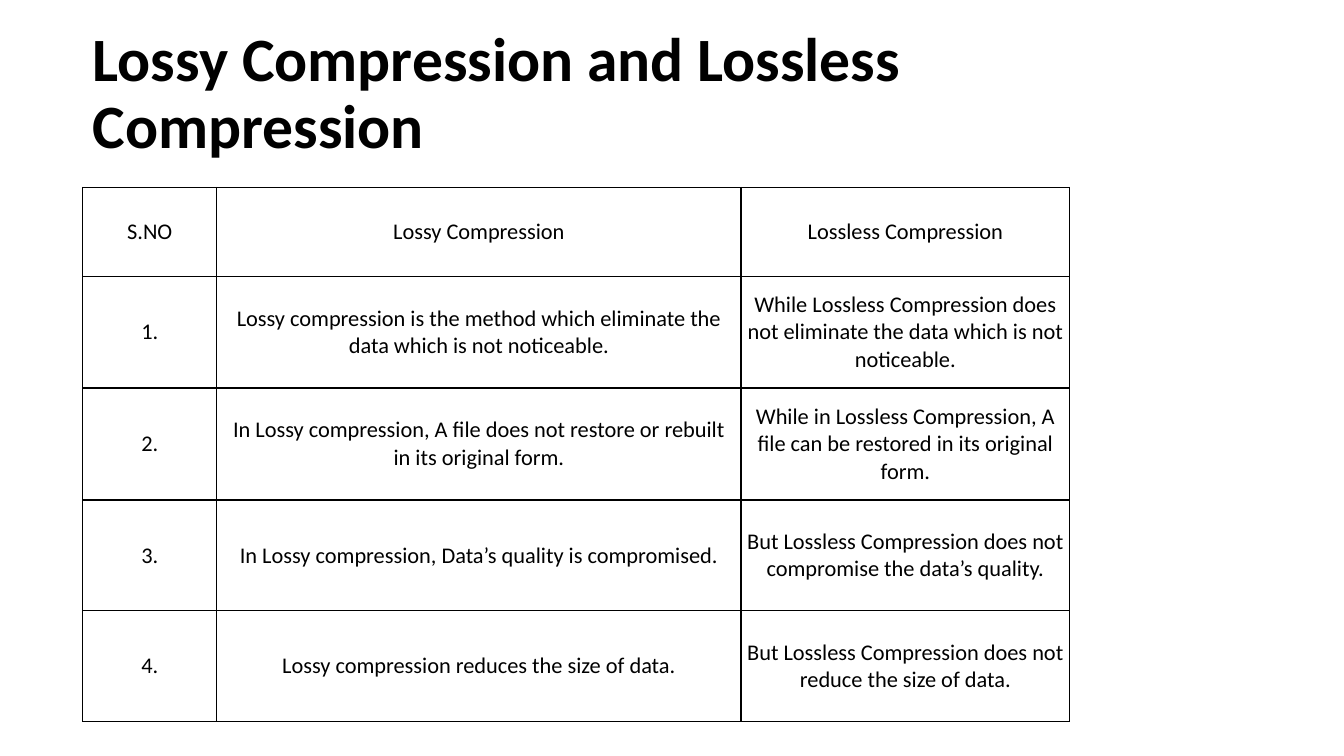
from lxml.etree import SubElement
from pptx import Presentation
from pptx.dml.color import RGBColor
from pptx.enum.text import MSO_ANCHOR as Anchor, PP_ALIGN as Align
from pptx.oxml.ns import qn
from pptx.util import Inches, Pt

WIDE, HIGH = 13.33, 7.5
LEFT = 0.82
BLACK, WHITE = "000000", "FFFFFF"
COLS = (1.33, 5.2, 3.26)
ROWS = (0.88, 1.11, 1.11, 1.1, 1.1)
HEAD = ("S.NO", "Lossy Compression", "Lossless Compression")
PAIRS = (
    ("Lossy compression is the method which eliminate the data which is not noticeable.",
     "While Lossless Compression does not eliminate the data which is not noticeable."),
    ("In Lossy compression, A file does not restore or rebuilt in its original form.",
     "While in Lossless Compression, A file can be restored in its original form."),
    ("In Lossy compression, Data’s quality is compromised.",
     "But Lossless Compression does not compromise the data’s quality."),
    ("Lossy compression reduces the size of data.",
     "But Lossless Compression does not reduce the size of data."),
)


def color(code):
    return RGBColor.from_string(code)


def assign(target, values):
    for name, value in values.items():
        setattr(target, name, value)


def style(para, size, bold, align):
    para.alignment = align
    assign(para.font, {"name": "Calibri", "size": Pt(size), "bold": bold})
    para.font.color.rgb = color(BLACK)


def place(shape, box):
    sides = ("left", "top", "width", "height")
    assign(shape, dict(zip(sides, map(Inches, box))))


def add_title(slide, box, text):
    title = slide.shapes.title
    place(title, box)
    frame = title.text_frame
    frame.text = text
    assign(frame, {"word_wrap": True, "vertical_anchor": Anchor.MIDDLE})
    para = frame.paragraphs[0]
    para.line_spacing = 0.9
    style(para, 44, True, Align.LEFT)


def add_edges(cell, width):
    props = cell._tc.get_or_add_tcPr()
    for side in ("lnL", "lnR", "lnT", "lnB"):
        line = SubElement(props, qn(f"a:{side}"), w=str(Pt(width)))
        fill = SubElement(line, qn("a:solidFill"))
        SubElement(fill, qn("a:srgbClr"), val=BLACK)


def fill_cell(cell, text, side, edge):
    cell.text = text
    assign(cell, {
        "margin_left": Inches(side), "margin_right": Inches(side),
        "margin_top": Inches(edge), "margin_bottom": Inches(edge),
        "vertical_anchor": Anchor.MIDDLE,
    })
    style(cell.text_frame.paragraphs[0], 16, False, Align.CENTER)
    add_edges(cell, 1)
    cell.fill.solid()
    cell.fill.fore_color.rgb = color(WHITE)


def add_grid(slide, box, rows):
    table = slide.shapes.add_table(len(ROWS), len(COLS), *map(Inches, box)).table
    assign(table, {"first_row": False, "horz_banding": False})
    for col, width in zip(table.columns, COLS):
        col.width = Inches(width)
    for row, height in zip(table.rows, ROWS):
        row.height = Inches(height)
    for r, texts in enumerate(rows):
        for c, text in enumerate(texts):
            side, edge = (0.06, 0.08) if r else (0.04 if c else 0.02, 0.04)
            fill_cell(table.cell(r, c), text, side, edge)


def main():
    deck = Presentation()
    assign(deck, {"slide_width": Inches(WIDE), "slide_height": Inches(HIGH)})
    slide = deck.slides.add_slide(deck.slide_layouts[5])
    add_title(slide, (LEFT, 0.22, 11.5, 1.45),
              "Lossy Compression and Lossless Compression")
    rows = [HEAD] + [(f"{n}.", *pair) for n, pair in enumerate(PAIRS, 1)]
    add_grid(slide, (LEFT, 1.86, sum(COLS), sum(ROWS)), rows)
    deck.save("out.pptx")


if __name__ == "__main__":
    main()
